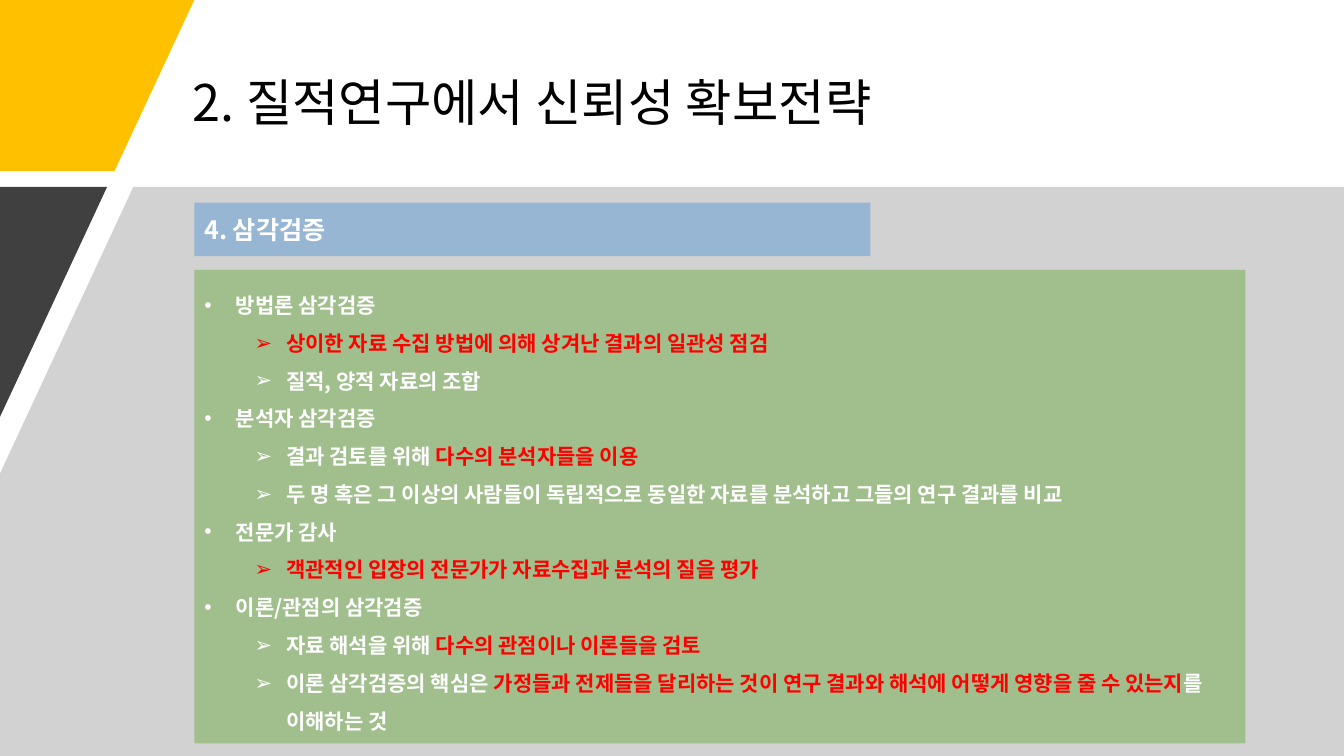
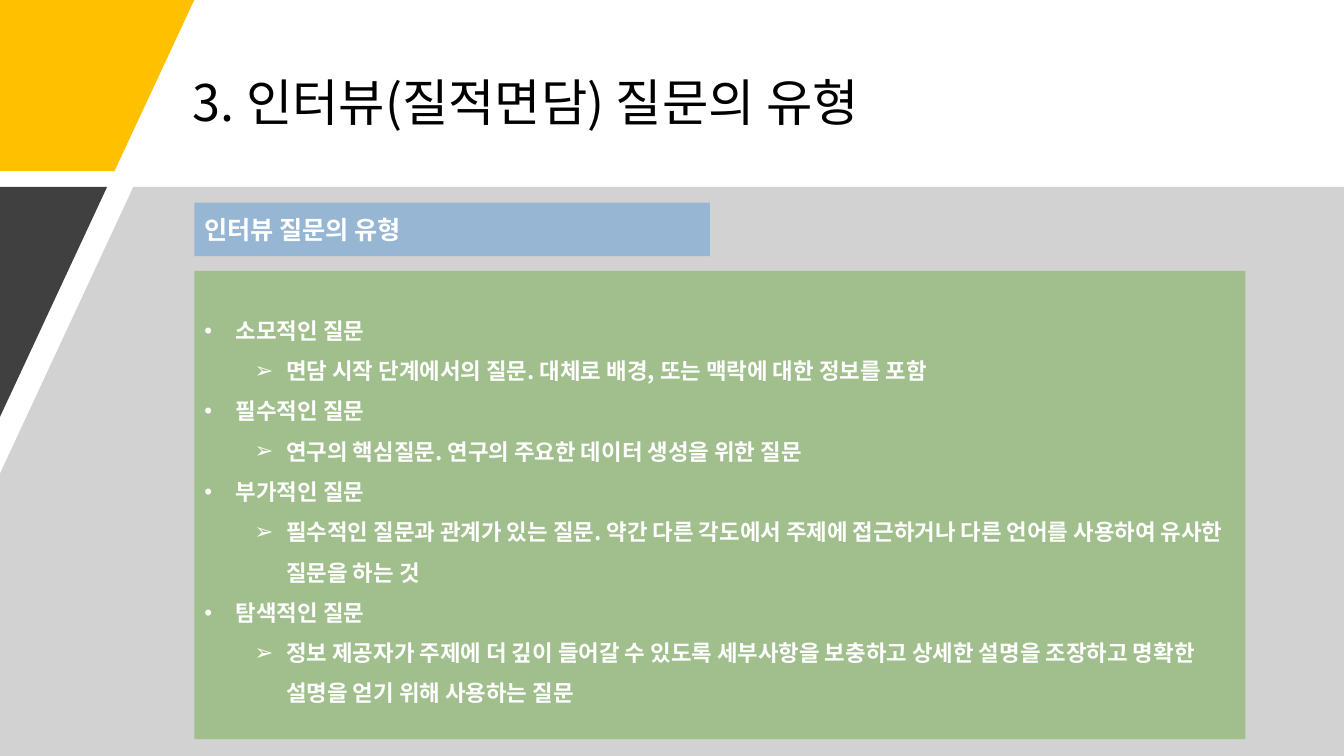
"""Build two slides on qualitative research: triangulation and interview questions."""
from dataclasses import dataclass

from lxml import etree
from pptx import Presentation
from pptx.dml.color import RGBColor
from pptx.enum.shapes import MSO_SHAPE
from pptx.enum.text import MSO_ANCHOR, MSO_AUTO_SIZE, PP_ALIGN
from pptx.oxml.ns import qn
from pptx.util import Pt

PX = 9525
RECTANGLE = MSO_SHAPE.RECTANGLE
MIDDLE = MSO_ANCHOR.MIDDLE
LEFT = PP_ALIGN.LEFT
NO_AUTOFIT = MSO_AUTO_SIZE.NONE
TITLE_AND_CONTENT = 1


@dataclass(frozen=True)
class Theme:
    font: str = "Noto Sans CJK KR"
    black: str = "000000"
    white: str = "FFFFFF"
    red: str = "FF0000"
    yellow: str = "FFC000"
    gray: str = "A6A6A6"
    charcoal: str = "404040"
    blue: str = "5B9BD5"
    green: str = "70AD47"
    half: int = 50
    title_size: int = 36
    heading_size: int = 18


THEME = Theme()
SLIDE_WIDTH, SLIDE_HEIGHT = 1280, 720
BAND_TOP = 178
CONTENT_LEFT, CONTENT_WIDTH = 185, 1001
HEADING_TOP, HEADING_HEIGHT = 193, 51
HANGING = 30
BULLETS = (("•", 30), ("➢", 78))
BANDS = (
    (((0, 0), (185, 0), (109, 163), (0, 163)), THEME.yellow, 100),
    (((127, BAND_TOP), (SLIDE_WIDTH, BAND_TOP), (SLIDE_WIDTH, SLIDE_HEIGHT),
      (0, SLIDE_HEIGHT), (0, 451)), THEME.gray, THEME.half),
    (((0, BAND_TOP), (102, BAND_TOP), (0, 397)), THEME.charcoal, 100),
)

TRIANGULATION = (
    (0, "방법론 삼각검증"),
    (1, ("상이한 자료 수집 방법에 의해 상겨난 결과의 일관성 점검", THEME.red)),
    (1, "질적, 양적 자료의 조합"),
    (0, "분석자 삼각검증"),
    (1, "결과 검토를 위해 ", ("다수의 분석자들을 이용", THEME.red)),
    (1, "두 명 혹은 그 이상의 사람들이 독립적으로 동일한 자료를 분석하고 그들의 연구 결과를 비교"),
    (0, "전문가 감사"),
    (1, ("객관적인 입장의 전문가가 자료수집과 분석의 질을 평가", THEME.red)),
    (0, "이론/관점의 삼각검증"),
    (1, "자료 해석을 위해 ", ("다수의 관점이나 이론들을 검토", THEME.red)),
    (1, "이론 삼각검증의 핵심은 ",
     ("가정들과 전제들을 달리하는 것이 연구 결과와 해석에 어떻게 영향을 줄 수 있는지", THEME.red),
     "를 이해하는 것"),
)
QUESTION_TYPES = (
    (0, "소모적인 질문"),
    (1, "면담 시작 단계에서의 질문. 대체로 배경, 또는 맥락에 대한 정보를 포함"),
    (0, "필수적인 질문"),
    (1, "연구의 핵심질문. 연구의 주요한 데이터 생성을 위한 질문"),
    (0, "부가적인 질문"),
    (1, "필수적인 질문과 관계가 있는 질문. 약간 다른 각도에서 주제에 접근하거나 "
        "다른 언어를 사용하여 유사한 질문을 하는 것"),
    (0, "탐색적인 질문"),
    (1, "정보 제공자가 주제에 더 깊이 들어갈 수 있도록 세부사항을 보충하고 "
        "상세한 설명을 조장하고 명확한 설명을 얻기 위해 사용하는 질문"),
)


def place(shape, left, top, width, height):
    """Move and size a shape in px."""
    shape.left, shape.top = left * PX, top * PX
    shape.width, shape.height = width * PX, height * PX


def paint(shape, color, opacity):
    """Fill a shape without outline at an opacity in percent."""
    shape.fill.solid()
    shape.fill.fore_color.rgb = RGBColor.from_string(color)
    shape.line.fill.background()
    if opacity < 100:
        node = shape._element.spPr.find(qn("a:solidFill")).find(qn("a:srgbClr"))
        etree.SubElement(node, qn("a:alpha"), val=str(opacity * 1000))


def style_paragraph(para, size, color, bold):
    """Set the left alignment and the font of a whole paragraph."""
    para.alignment = LEFT
    font = para.font
    font.size, font.bold, font.name = Pt(size), bold, THEME.font
    font.color.rgb = RGBColor.from_string(color)
    properties = para._p.pPr.find(qn("a:defRPr"))
    properties.find(qn("a:latin")).addnext(
        etree.Element(qn("a:ea"), typeface=THEME.font))


def add_bullet(para, level):
    """Give a paragraph its level, hanging indent and bullet."""
    symbol, margin = BULLETS[level]
    para.level = level
    properties = para._p.get_or_add_pPr()
    properties.set("marL", str(margin * PX))
    properties.set("indent", str(-HANGING * PX))
    etree.SubElement(properties, qn("a:buFont"), typeface="Arial")
    etree.SubElement(properties, qn("a:buChar"), char=symbol)


def add_bands(page):
    """Draw the slanted bands behind the content."""
    for points, color, opacity in BANDS:
        builder = page.shapes.build_freeform(*points[0], scale=PX)
        builder.add_line_segments(points[1:], close=True)
        band = builder.convert_to_shape()
        band.shadow.inherit = False
        paint(band, color, opacity)


def set_title(page, text):
    """Fill the title placeholder."""
    title = page.shapes.title
    place(title, 174, 38, 983, 125)
    frame = title.text_frame
    frame.text = text
    frame.auto_size, frame.vertical_anchor = NO_AUTOFIT, MIDDLE
    para = frame.paragraphs[0]
    para.line_spacing = 0.9
    style_paragraph(para, THEME.title_size, THEME.black, False)


def add_heading(page, text, width):
    """Add the blue heading bar."""
    bar = page.shapes.add_shape(RECTANGLE, 0, 0, 0, 0)
    place(bar, CONTENT_LEFT, HEADING_TOP, width, HEADING_HEIGHT)
    bar.shadow.inherit = False
    paint(bar, THEME.blue, THEME.half)
    frame = bar.text_frame
    frame.text = text
    frame.vertical_anchor = MIDDLE
    style_paragraph(frame.paragraphs[0], THEME.heading_size, THEME.white, True)


def set_list(page, items, size, top, height):
    """Fill the body placeholder with a two-level list on green."""
    body = page.placeholders[1]
    place(body, CONTENT_LEFT, top, CONTENT_WIDTH, height)
    paint(body, THEME.green, THEME.half)
    frame = body.text_frame
    frame.auto_size, frame.vertical_anchor = NO_AUTOFIT, MIDDLE
    for index, (level, *parts) in enumerate(items):
        para = frame.add_paragraph() if index else frame.paragraphs[0]
        add_bullet(para, level)
        para.line_spacing, para.space_before = 1.5, Pt(0)
        spans = [(part, THEME.white) if isinstance(part, str) else part
                 for part in parts]
        base = spans[0][1]
        style_paragraph(para, size, base, True)
        for text, color in spans:
            span = para.add_run()
            span.text = text
            if color != base:
                span.font.color.rgb = RGBColor.from_string(color)


def add_page(deck, title, heading, heading_width, items, size, top, height):
    """Add one slide with bands, title, heading and list."""
    page = deck.slides.add_slide(deck.slide_layouts[TITLE_AND_CONTENT])
    add_bands(page)
    set_title(page, title)
    add_heading(page, heading, heading_width)
    set_list(page, items, size, top, height)
    tree = page.shapes._spTree
    tree.append(page.placeholders[1]._element)


def main():
    """Build and save the deck."""
    deck = Presentation()
    deck.slide_width, deck.slide_height = SLIDE_WIDTH * PX, SLIDE_HEIGHT * PX
    add_page(deck, "2. 질적연구에서 신뢰성 확보전략", "4. 삼각검증", 644,
             TRIANGULATION, size=15, top=257, height=451)
    add_page(deck, "3. 인터뷰(질적면담) 질문의 유형", "인터뷰 질문의 유형", 491,
             QUESTION_TYPES, size=16, top=258, height=446)
    deck.save("out.pptx")


if __name__ == "__main__":
    main()
